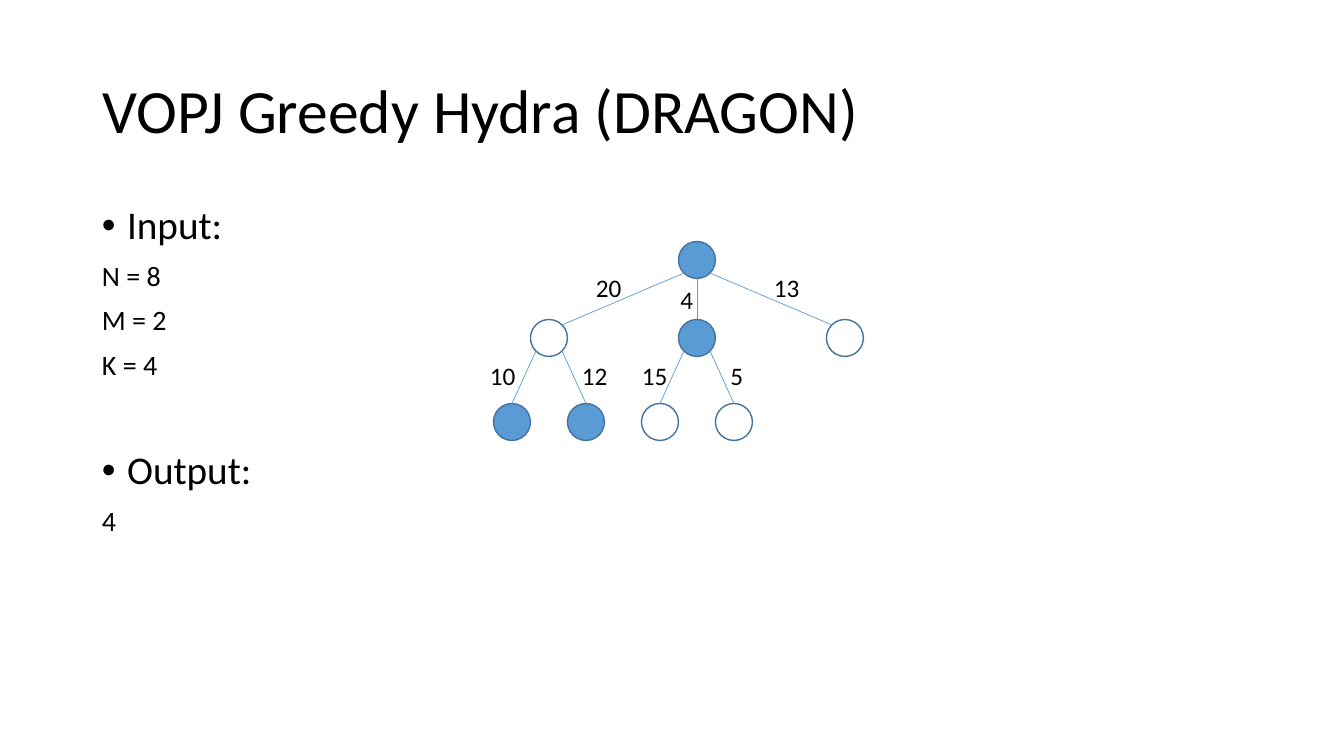
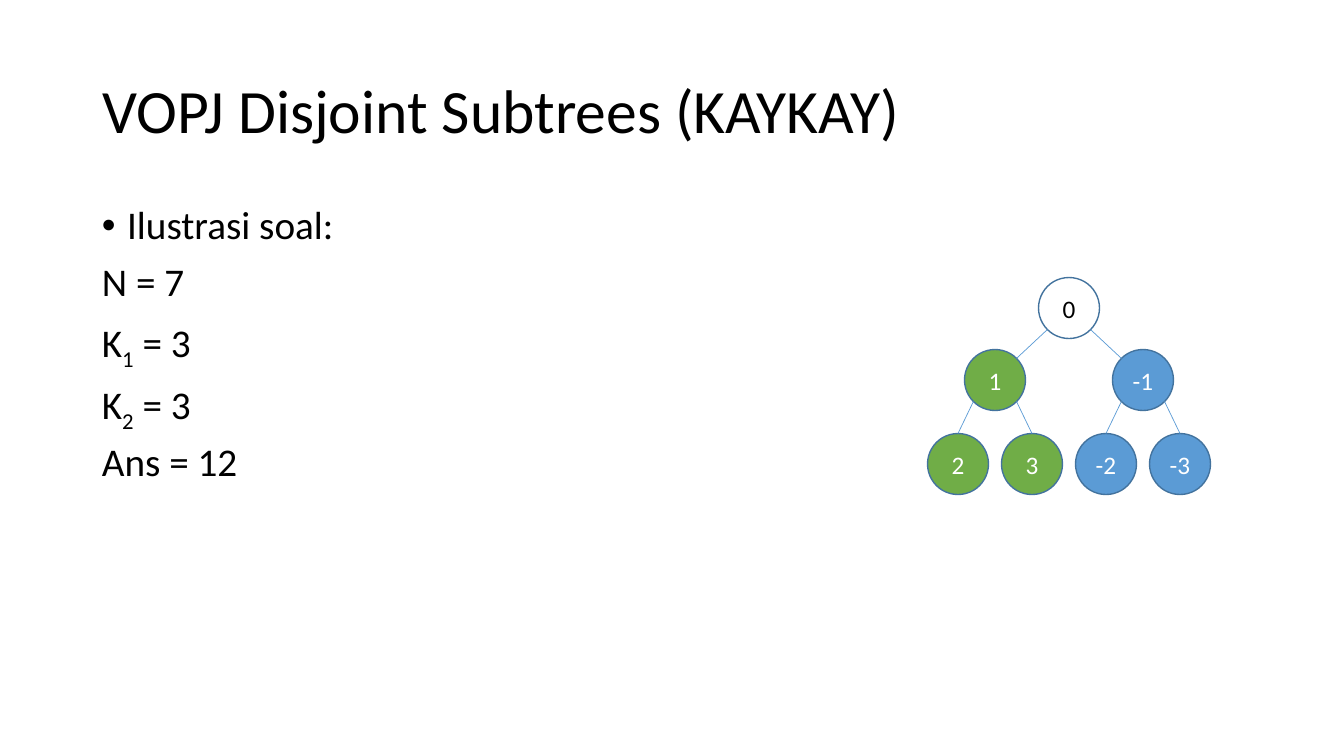
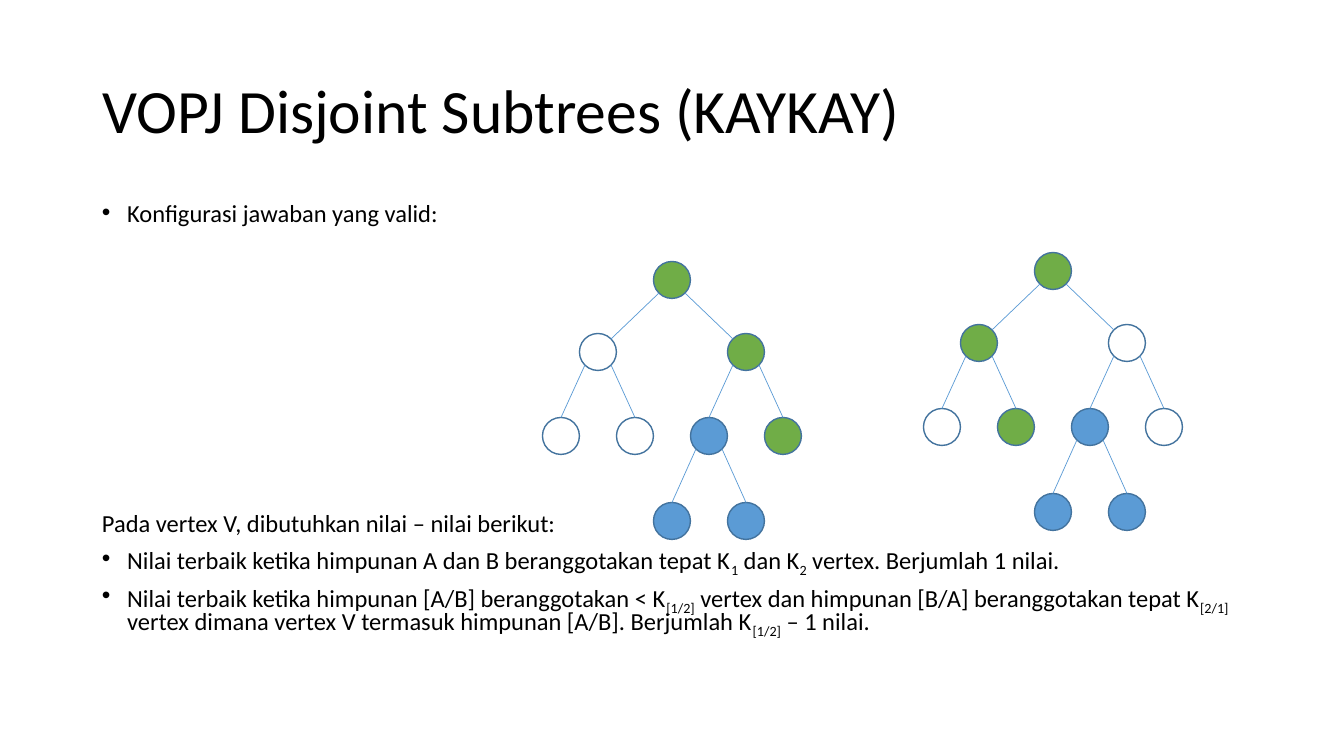
from math import sqrt

from lxml import etree
from pptx import Presentation
from pptx.dml.color import RGBColor
from pptx.enum.shapes import MSO_CONNECTOR, MSO_SHAPE
from pptx.enum.text import MSO_ANCHOR, MSO_AUTO_SIZE, PP_ALIGN
from pptx.oxml.ns import qn
from pptx.util import Emu, Pt

LINE = MSO_CONNECTOR.STRAIGHT
OVAL = MSO_SHAPE.OVAL
MIDDLE = MSO_ANCHOR.MIDDLE
GROW = MSO_AUTO_SIZE.SHAPE_TO_FIT_TEXT
LEFT, CENTER = PP_ALIGN.LEFT, PP_ALIGN.CENTER

COLORS = {"black": "000000", "white": "FFFFFF", "blue": "5B9BD5",
          "green": "70AD47", "outline": "43739E"}
FONT = "Calibri"
SLIDE_SIZE = (1344, 756)
TITLE_BOX = (92, 41, 1159, 146)
BODY_BOX = (92, 201, 1159, 480)
STEP = 37        # horizontal unit of every tree
SMALL, LARGE = 37, 61
LABEL_H = 40

# Body lines: (text with |subscript| marks, format)
# Tree nodes: (parent index, steps from the parent, level, colour, text)
SLIDES = [
    {
        "title": "VOPJ Greedy Hydra (DRAGON)",
        "spacing": 0.9,
        "body": [
            ("Input:", {"size": 28, "bullet": True}),
            ("N = 8", {"size": 20}),
            ("M = 2", {"size": 20}),
            ("K = 4", {"size": 20}),
            ("Output:", {"size": 28, "bullet": True, "before": 50}),
            ("4", {"size": 20}),
        ],
        "trees": [{
            "root": (697, 260), "drops": (0, 78, 162), "diameter": SMALL,
            "nodes": [
                (None, 0, 0, "blue", ""),
                (0, -4, 1, "white", ""),
                (0, 0, 1, "blue", ""),
                (0, 4, 1, "white", ""),
                (1, -1, 2, "blue", ""),
                (1, 1, 2, "blue", ""),
                (2, -1, 2, "white", ""),
                (2, 1, 2, "white", ""),
            ],
            "weights": [("20", 609, 287), ("4", 687, 299), ("13", 787, 287),
                        ("10", 503, 375), ("12", 595, 375),
                        ("15", 655, 375), ("5", 737, 375)],
        }],
    },
    {
        "title": "VOPJ Disjoint Subtrees (KAYKAY)",
        "spacing": 0.9,
        "body": [
            ("Ilustrasi soal:", {"size": 28, "bullet": True}),
            ("N = 7", {"size": 28}),
            ("K|1| = 3", {"size": 28}),
            ("K|2| = 3", {"size": 28}),
            ("Ans = 12", {"size": 28}),
        ],
        "trees": [{
            "root": (1069, 308), "drops": (0, 72, 156), "diameter": LARGE,
            "nodes": [
                (None, 0, 0, "white", "0"),
                (0, -2, 1, "green", "1"),
                (0, 2, 1, "blue", "-1"),
                (1, -1, 2, "green", "2"),
                (1, 1, 2, "green", "3"),
                (2, -1, 2, "blue", "-2"),
                (2, 1, 2, "blue", "-3"),
            ],
            "weights": [],
        }],
    },
    {
        "title": "VOPJ Disjoint Subtrees (KAYKAY)",
        "spacing": 0.7,
        "body": [
            ("Konfigurasi jawaban yang valid:", {"size": 17.5, "bullet": True}),
            ("Pada vertex V, dibutuhkan nilai – nilai berikut:",
             {"size": 17.5, "before": 207}),
            ("Nilai terbaik ketika himpunan A dan B beranggotakan tepat "
             "K|1| dan K|2| vertex. Berjumlah 1 nilai.",
             {"size": 17.5, "bullet": True}),
            ("Nilai terbaik ketika himpunan [A/B] beranggotakan < K|[1/2]| "
             "vertex dan himpunan [B/A] beranggotakan tepat K|[2/1]| vertex "
             "dimana vertex V termasuk himpunan [A/B]. Berjumlah K|[1/2]| "
             "– 1 nilai.", {"size": 17.5, "bullet": True}),
        ],
        "trees": [
            {
                "root": root, "drops": (0, 72, 156, 241), "diameter": SMALL,
                "nodes": [
                    (None, 0, 0, "green", ""),
                    (0, -2, 1, left, ""),
                    (0, 2, 1, right, ""),
                    (1, -1, 2, "white", ""),
                    (1, 1, 2, left, ""),
                    (2, -1, 2, "blue", ""),
                    (2, 1, 2, right, ""),
                    (5, -1, 3, "blue", ""),
                    (5, 1, 3, "blue", ""),
                ],
                "weights": [],
            }
            for root, left, right in [((672, 280), "white", "green"),
                                      ((1053, 271), "green", "white")]
        ],
    },
]


def px(value):
    """Turn pixels into EMU."""
    return Emu(round(value * 914400 / 100.8))


def rgb(name):
    """Look up a named colour."""
    return RGBColor.from_string(COLORS[name])


def write(p, text, size=18, color="black", align=LEFT, spacing=1.0,
          before=0, bullet=False):
    """Fill a paragraph; text between | marks becomes subscript."""
    p.alignment = align
    p.line_spacing = spacing
    p.space_before = Pt(before)
    if bullet:
        pPr = p._p.get_or_add_pPr()
        pPr.set("marL", "228600")
        pPr.set("indent", "-228600")
        etree.SubElement(pPr, qn("a:buFont"), typeface="Arial")
        etree.SubElement(pPr, qn("a:buChar"), char="•")
    for i, part in enumerate(text.split("|")):
        r = p.add_run()
        r.text = part
        r.font.name = FONT
        r.font.size = Pt(size)
        r.font.color.rgb = rgb(color)
        if i % 2:
            r._r.get_or_add_rPr().set("baseline", "-25000")


def add_title(s, text):
    """Place and format the title placeholder."""
    sp = s.shapes.title
    sp.left, sp.top, sp.width, sp.height = map(px, TITLE_BOX)
    tf = sp.text_frame
    tf.vertical_anchor = MIDDLE
    write(tf.paragraphs[0], text, size=44, spacing=0.9)


def add_body(s, lines, spacing):
    """Add the body text, one paragraph a line."""
    tf = s.shapes.add_textbox(*map(px, BODY_BOX)).text_frame
    tf.word_wrap = True
    for i, (text, style) in enumerate(lines):
        p = tf.add_paragraph() if i else tf.paragraphs[0]
        write(p, text, **{"before": 10, "spacing": spacing, **style})


def add_node(shapes, x, y, diameter, color, text):
    """Draw one tree node centred on x, y."""
    sp = shapes.add_shape(OVAL, px(x - diameter / 2), px(y - diameter / 2),
                          px(diameter), px(diameter))
    sp.shadow.inherit = False
    sp.fill.solid()
    sp.fill.fore_color.rgb = rgb(color)
    sp.line.color.rgb = rgb("outline")
    sp.line.width = Pt(1)
    if text:
        sp.text_frame.vertical_anchor = MIDDLE
        write(sp.text_frame.paragraphs[0], text, align=CENTER,
              color="black" if color == "white" else "white")


def add_edge(shapes, parent, child, diameter):
    """Join two node rims: wide edges meet at corners, steep ones on top."""
    (x1, y1), (x2, y2) = parent, child
    radius, corner = diameter / 2, diameter / 2 / sqrt(2)
    dx = x2 - x1
    side = (dx > 0) - (dx < 0)
    start = (x1 + side * corner, y1 + (corner if side else radius))
    if abs(dx) > STEP:
        end = (x2 - side * corner, y2 - corner)
    else:
        end = (x2, y2 - radius)
    line = shapes.add_connector(LINE, *map(px, start + end))
    line.line.color.rgb = rgb("blue")
    line.line.width = Pt(0.5)
    etree.SubElement(line._element.spPr, qn("a:effectLst"))


def add_weight(shapes, text, x, y):
    """Write an edge weight centred on x, y."""
    width = 20 + 13 * len(text)
    sp = shapes.add_textbox(px(x - width / 2), px(y - LABEL_H / 2),
                            px(width), px(LABEL_H))
    tf = sp.text_frame
    tf.word_wrap = False
    tf.auto_size = GROW
    write(tf.paragraphs[0], text)


def add_tree(s, root, drops, diameter, nodes, weights):
    """Draw a tree as one group of nodes, edges and weights."""
    shapes = s.shapes.add_group_shape().shapes
    centres = []
    for parent, steps, level, color, text in nodes:
        base_x = root[0] if parent is None else centres[parent][0]
        centre = (base_x + steps * STEP, root[1] + drops[level])
        centres.append(centre)
        add_node(shapes, *centre, diameter, color, text)
        if parent is not None:
            add_edge(shapes, centres[parent], centre, diameter)
    for weight in weights:
        add_weight(shapes, *weight)


prs = Presentation()
prs.slide_width, prs.slide_height = map(px, SLIDE_SIZE)
title_only = prs.slide_layouts[5]
for content in SLIDES:
    s = prs.slides.add_slide(title_only)
    add_title(s, content["title"])
    add_body(s, content["body"], content["spacing"])
    for tree in content["trees"]:
        add_tree(s, **tree)
prs.save("out.pptx")
